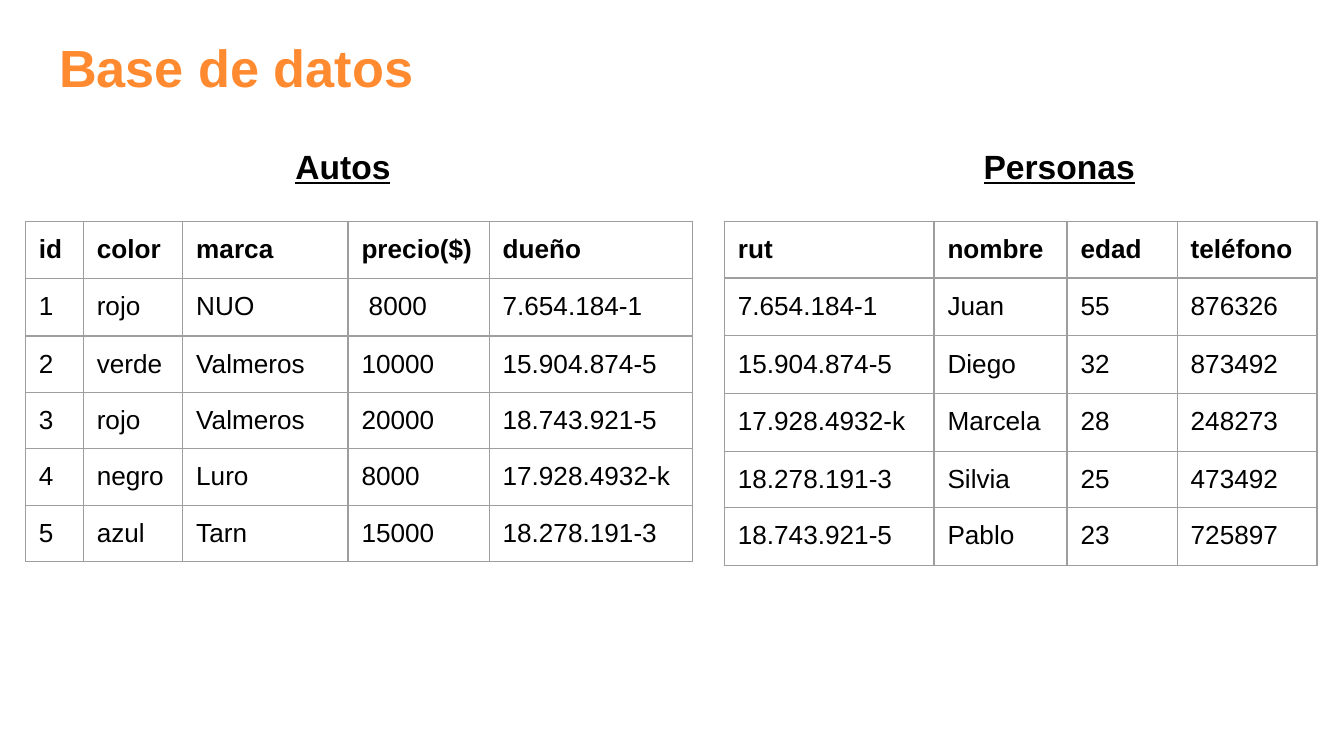
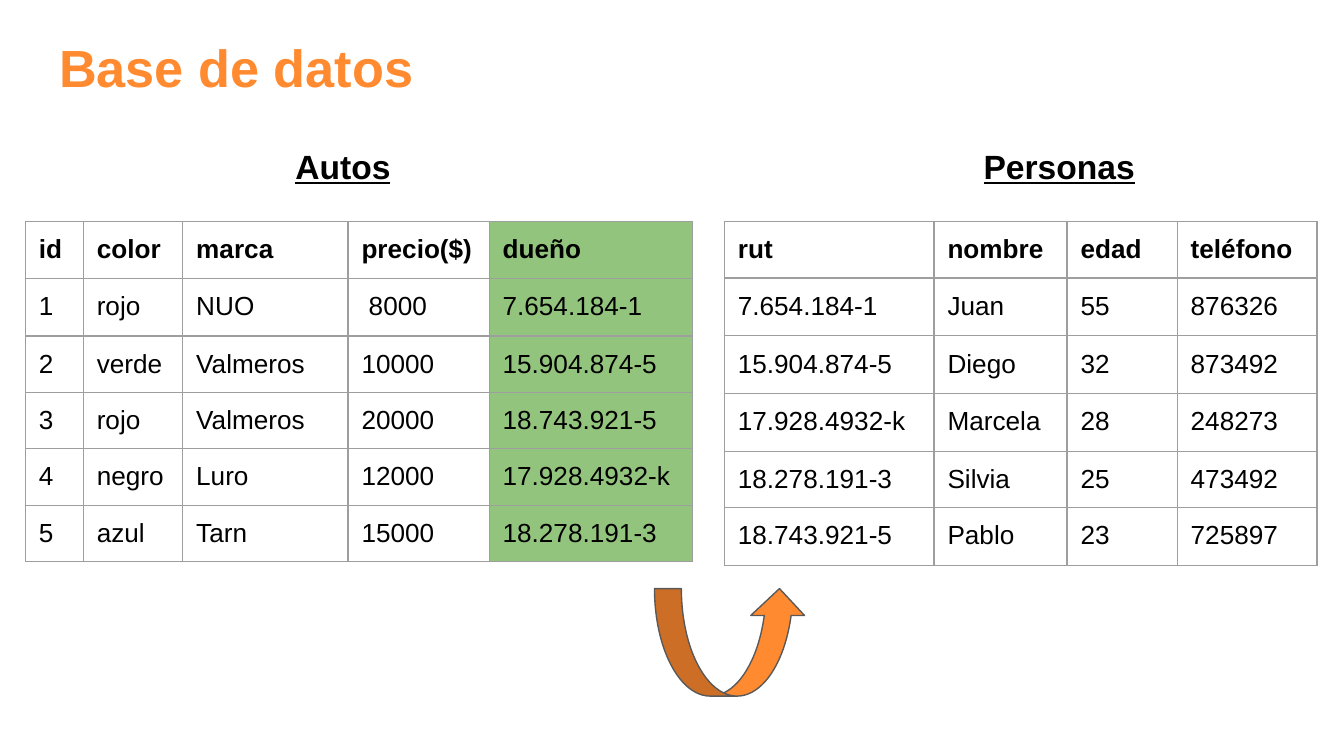
from dataclasses import dataclass

from lxml import etree
from pptx import Presentation
from pptx import util as u
from pptx.dml.color import RGBColor
from pptx.enum import shapes, text
from pptx.oxml import ns


@dataclass(frozen=True)
class Theme:
    font: str = "Arial"
    accent: str = "FF8A2F"
    ink: str = "000000"
    grid: str = "9E9E9E"
    mark: str = "93C47D"
    edge: str = "595959"
    title: int = 28
    head: int = 18
    cell: int = 14
    line: float = 0.75
    inset: float = 0.1


THEME = Theme()
TOP = 1.65

CARS = [
    ["id", "color", "marca", "precio($)", "dueño"],
    ["1", "rojo", "NUO", " 8000", "7.654.184-1"],
    ["2", "verde", "Valmeros", "10000", "15.904.874-5"],
    ["3", "rojo", "Valmeros", "20000", "18.743.921-5"],
    ["4", "negro", "Luro", "8000", "17.928.4932-k"],
    ["5", "azul", "Tarn", "15000", "18.278.191-3"],
]
CAR_COLS = [0.43, 0.74, 1.23, 1.05, 1.51]
CAR_ROWS = [0.42, 0.43, 0.42, 0.42, 0.42, 0.42]

PEOPLE = [
    ["rut", "nombre", "edad", "teléfono"],
    ["7.654.184-1", "Juan", "55", "876326"],
    ["15.904.874-5", "Diego", "32", "873492"],
    ["17.928.4932-k", "Marcela", "28", "248273"],
    ["18.278.191-3", "Silvia", "25", "473492"],
    ["18.743.921-5", "Pablo", "23", "725897"],
]
FOLK_COLS = [1.56, 0.99, 0.82, 1.04]
FOLK_ROWS = [0.38, 0.43, 0.43, 0.43, 0.34, 0.43]


def color(code):
    return RGBColor.from_string(code)


def inset(item):
    for side in ("left", "right", "top", "bottom"):
        setattr(item, f"margin_{side}", u.Inches(THEME.inset))


def style(frame, size, tint, bold=False, under=False):
    for para in frame.paragraphs:
        para.alignment = text.PP_ALIGN.LEFT
        for run in para.runs:
            font = run.font
            font.name = THEME.font
            font.size = u.Pt(size)
            font.bold = bold
            font.underline = under
            font.color.rgb = color(tint)


def write(shape, words, size, tint, under=False):
    frame = shape.text_frame
    frame.text = words
    frame.word_wrap = True
    frame.auto_size = text.MSO_AUTO_SIZE.NONE
    frame.vertical_anchor = text.MSO_ANCHOR.TOP
    inset(frame)
    style(frame, size, tint, bold=True, under=under)
    return frame


def add_title(slide, words):
    shape = slide.shapes.title
    shape.left, shape.top = u.Inches(0.34), u.Inches(0.16)
    shape.width, shape.height = u.Inches(3.18), u.Inches(0.63)
    write(shape, words, THEME.title, THEME.accent)


def add_head(slide, words, left, width):
    box = slide.shapes.add_textbox(
        u.Inches(left), u.Inches(0.94), u.Inches(width), u.Inches(0.55))
    frame = write(box, words, THEME.head, THEME.ink, under=True)
    frame.paragraphs[0].line_spacing = 1.15


def border(cell):
    props = cell._tc.get_or_add_tcPr()
    for side in ("lnL", "lnR", "lnT", "lnB"):
        line = etree.SubElement(props, ns.qn(f"a:{side}"), w=str(u.Pt(THEME.line)))
        fill = etree.SubElement(line, ns.qn("a:solidFill"))
        etree.SubElement(fill, ns.qn("a:srgbClr"), val=THEME.grid)


def paint(cell, tint):
    if tint:
        cell.fill.solid()
        cell.fill.fore_color.rgb = color(tint)
    else:
        cell.fill.background()


def add_grid(slide, data, left, cols, rows, marked=None):
    frame = slide.shapes.add_table(
        len(rows), len(cols), u.Inches(left), u.Inches(TOP),
        u.Inches(sum(cols)), u.Inches(sum(rows)))
    table = frame.table
    table.first_row = table.horz_banding = False
    for col, width in zip(table.columns, cols):
        col.width = u.Inches(width)
    for row, height in zip(table.rows, rows):
        row.height = u.Inches(height)
    for i, line in enumerate(data):
        for j, words in enumerate(line):
            cell = table.cell(i, j)
            cell.text_frame.text = words
            inset(cell)
            style(cell.text_frame, THEME.cell, THEME.ink, bold=i == 0)
            border(cell)
            paint(cell, THEME.mark if j == marked else None)


def add_arrow(slide):
    arrow = slide.shapes.add_shape(
        shapes.MSO_SHAPE.CURVED_UP_ARROW,
        u.Inches(4.87), u.Inches(4.38), u.Inches(1.13), u.Inches(0.8))
    for i, value in enumerate((0.25, 0.5, 0.25)):
        arrow.adjustments[i] = value
    arrow.shadow.inherit = False
    arrow.fill.solid()
    arrow.fill.fore_color.rgb = color(THEME.accent)
    arrow.line.color.rgb = color(THEME.edge)
    arrow.line.width = u.Pt(THEME.line)


def add_page(deck, cars, width, marked=None):
    slide = deck.slides.add_slide(deck.slide_layouts[5])
    add_title(slide, "Base de datos")
    add_head(slide, "Autos", 2.1, width)
    add_head(slide, "Personas", 7.22, 1.54)
    add_grid(slide, cars, 0.19, CAR_COLS, CAR_ROWS, marked)
    add_grid(slide, PEOPLE, 5.39, FOLK_COLS, FOLK_ROWS)
    return slide


def main():
    deck = Presentation()
    deck.slide_width = u.Inches(10)
    deck.slide_height = deck.slide_width * 9 // 16
    add_page(deck, CARS, 1.07)
    priced = [list(row) for row in CARS]
    priced[4][3] = "12000"
    slide = add_page(deck, priced, 1.13, marked=4)
    add_arrow(slide)
    deck.save("out.pptx")


if __name__ == "__main__":
    main()
